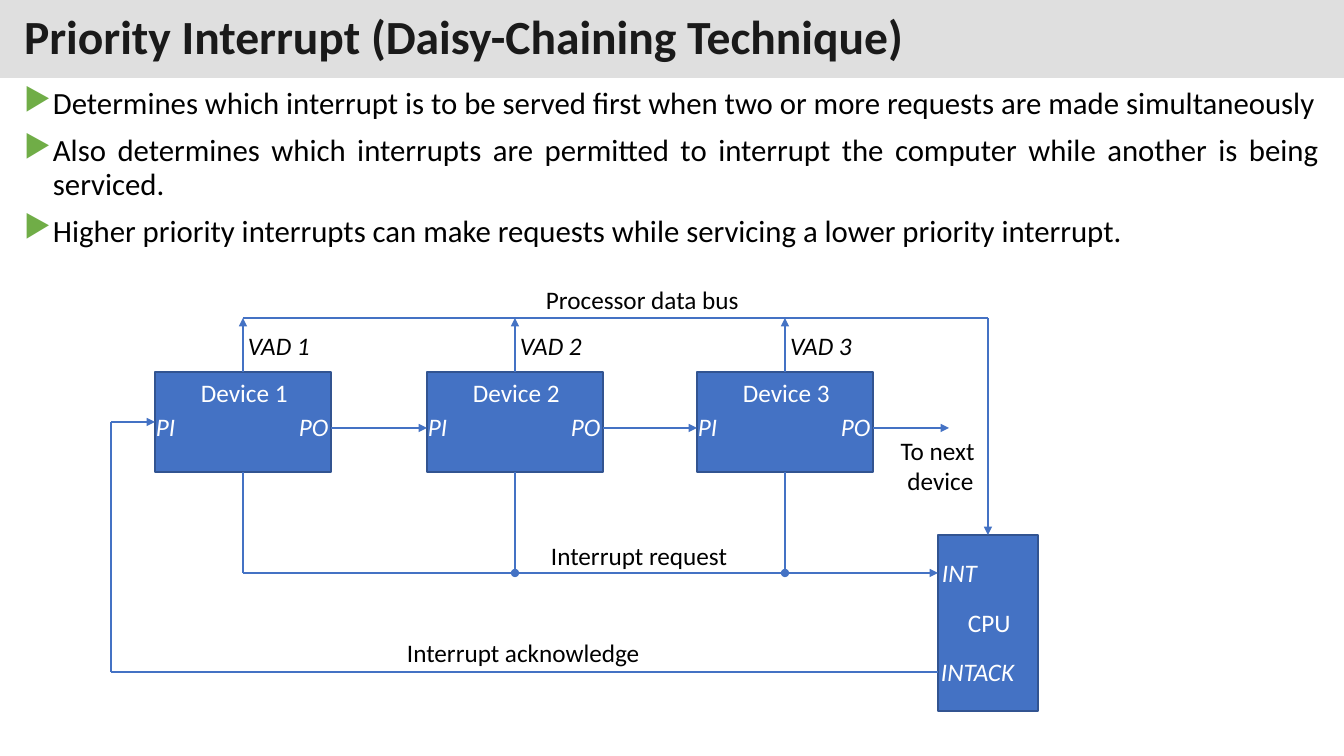
from dataclasses import dataclass

from lxml import etree
from pptx import Presentation
from pptx.dml.color import RGBColor
from pptx.enum.shapes import MSO_CONNECTOR as Connector, MSO_SHAPE as Shape
from pptx.enum.text import MSO_ANCHOR as Anchor, PP_ALIGN as Align
from pptx.oxml.ns import qn
from pptx.util import Pt

# Content
TITLE = "Priority Interrupt (Daisy-Chaining Technique)"
POINTS = [
    "Determines which interrupt is to be served first when two or more requests are made simultaneously",
    "Also determines which interrupts are permitted to interrupt the computer while another is being serviced.",
    "Higher priority interrupts can make requests while servicing a lower priority interrupt.",
]
DEVICES = [  # name, vector label, left edge
    ("Device 1", "VAD 1", 155),
    ("Device 2", "VAD 2", 427),
    ("Device 3", "VAD 3", 697),
]
CPU_LABELS = [  # text, left, top, width, italic
    ("INT", 932, 552, 60, True),
    ("CPU", 958, 602, 65, False),
    ("INTACK", 931, 651, 95, True),
]
LINE_LABELS = [  # text, left, top, width
    ("Processor data bus", 536, 279, 221),
    ("Interrupt request", 541, 535, 201),
    ("Interrupt acknowledge", 397, 632, 267),
]
NEXT_DEVICE = ["To next ", "device"]


@dataclass(frozen=True)
class Theme:
    font: str = "Calibri"
    title_size: int = 34
    body_size: int = 22
    label_size: int = 18
    title_color: str = "1A1A1A"
    dark: str = "000000"
    light: str = "FFFFFF"
    band: str = "C0C0C0"
    block: str = "4472C4"
    border: str = "325491"
    bullet: str = "70AD47"


THEME = Theme()

# Layout in px
SLIDE_WIDTH, SLIDE_HEIGHT = 1344, 756
DEVICE_TOP, DEVICE_WIDTH, DEVICE_HEIGHT = 372, 176, 100
CPU_LEFT, CPU_TOP, CPU_WIDTH, CPU_HEIGHT = 938, 535, 100, 176
BUS_Y, CHAIN_Y, REQUEST_Y, ACKNOWLEDGE_Y = 318, 428, 573, 672
RETURN_X, NEXT_X = 111, 949
LABEL_HEIGHT, BULLET_INDENT = 40, 29
TOP, LEFT, BOTTOM = 0, 1, 2  # connection sites


def px(length):
    return round(length * 914400 / 100.8)


presentation = Presentation()
presentation.slide_width, presentation.slide_height = px(SLIDE_WIDTH), px(SLIDE_HEIGHT)
slide = presentation.slides.add_slide(presentation.slide_layouts[6])
shapes = slide.shapes


def add_bullet(paragraph):
    properties = paragraph._p.get_or_add_pPr()
    properties.set("marL", str(px(BULLET_INDENT)))
    properties.set("indent", str(-px(BULLET_INDENT)))
    color = etree.SubElement(properties, qn("a:buClr"))
    etree.SubElement(color, qn("a:srgbClr"), val=THEME.bullet)
    etree.SubElement(properties, qn("a:buChar"), char="▶")


def write(shape, lines, *, size=THEME.label_size, color=THEME.dark, bold=False,
          italic=False, align=Align.LEFT, anchor=Anchor.TOP, margins=(10, 5, 10, 5),
          line_spacing=None, space_before=0, bullets=False):
    frame = shape.text_frame
    frame.word_wrap = True
    frame.vertical_anchor = anchor
    (frame.margin_left, frame.margin_top,
     frame.margin_right, frame.margin_bottom) = map(px, margins)
    for index, line in enumerate(lines):
        paragraph = frame.add_paragraph() if index else frame.paragraphs[0]
        if bullets:
            add_bullet(paragraph)
        paragraph.alignment = align
        paragraph.space_before = Pt(space_before if index else 0)
        if line_spacing:
            paragraph.line_spacing = line_spacing
        run = paragraph.add_run()
        run.text = line
        font = run.font
        font.name, font.size, font.bold, font.italic = THEME.font, Pt(size), bold, italic
        font.color.rgb = RGBColor.from_string(color)


def add_text(lines, left, top, width, height=LABEL_HEIGHT, **text_format):
    box = shapes.add_textbox(px(left), px(top), px(width), px(height))
    write(box, lines, **text_format)


def add_label(text, left, top, width, **text_format):
    add_text([text], left, top, width, margins=(10, 5, 0, 5), **text_format)


def add_block(left, top, width, height, fill=THEME.block, border=THEME.border):
    block = shapes.add_shape(Shape.RECTANGLE, px(left), px(top), px(width), px(height))
    block.shadow.inherit = False
    block.fill.solid()
    block.fill.fore_color.rgb = RGBColor.from_string(fill)
    if border:
        block.line.color.rgb = RGBColor.from_string(border)
        block.line.width = Pt(1)
    else:
        block.line.fill.background()
    return block


def add_line(start, end, head=None, begin=None, finish=None):
    """Draw a straight line; begin and finish are (shape, site) joins."""
    line = shapes.add_connector(Connector.STRAIGHT, *map(px, start + end))
    line.line.color.rgb = RGBColor.from_string(THEME.block)
    line.line.width = Pt(1.5)
    if head:
        etree.SubElement(line.line._get_or_add_ln(), qn("a:tailEnd"), type=head)
    etree.SubElement(line._element.spPr, qn("a:effectLst"))
    if begin:
        line.begin_connect(*begin)
    if finish:
        line.end_connect(*finish)


# Title band and bullet points
band = add_block(0, 0, SLIDE_WIDTH, 78, fill=THEME.band, border=None)
band_color = band.fill._xPr.find(qn("a:solidFill"))[0]
etree.SubElement(band_color, qn("a:alpha"), val="50000")
write(band, [TITLE], size=THEME.title_size, color=THEME.title_color, bold=True,
      anchor=Anchor.MIDDLE, margins=(24, 12, 24, 12), line_spacing=0.9)
add_text(POINTS, 14, 83, 1315, 175, size=THEME.body_size, align=Align.JUSTIFY,
         line_spacing=0.9, space_before=10, bullets=True)

# Devices with their ports, vector and request lines
device_blocks = []
centers = [left + DEVICE_WIDTH // 2 for _, _, left in DEVICES]
for index, ((name, vector, left), center) in enumerate(zip(DEVICES, centers)):
    device = add_block(left, DEVICE_TOP, DEVICE_WIDTH, DEVICE_HEIGHT)
    device_blocks.append(device)
    add_label(name, left + 36, DEVICE_TOP, 115, color=THEME.light)
    for port, offset, width in (("PI", -9, 40), ("PO", 134, 53)):
        add_label(port, left + offset, DEVICE_TOP + 34, width,
                  color=THEME.light, italic=True)
    add_line((center, DEVICE_TOP), (center, BUS_Y), "triangle", begin=(device, TOP))
    add_label(vector, center - 5, 325, 86, italic=True)
    add_line((center, DEVICE_TOP + DEVICE_HEIGHT), (center, REQUEST_Y),
             "oval" if index else None, begin=(device, BOTTOM))

# Daisy chain from each PO to the next PI
chain_ends = [left for _, _, left in DEVICES[1:]] + [NEXT_X]
for (_, _, left), chain_end in zip(DEVICES, chain_ends):
    add_line((left + DEVICE_WIDTH, CHAIN_Y), (chain_end, CHAIN_Y), "triangle")

# CPU
cpu = add_block(CPU_LEFT, CPU_TOP, CPU_WIDTH, CPU_HEIGHT)
for text, left, top, width, italic in CPU_LABELS:
    add_label(text, left, top, width, color=THEME.light, italic=italic)

# Data bus, interrupt request and interrupt acknowledge
bus_x = CPU_LEFT + CPU_WIDTH // 2
entry_y = DEVICE_TOP + DEVICE_HEIGHT // 2
add_line((bus_x, BUS_Y), (centers[0], BUS_Y))
add_line((bus_x, BUS_Y), (bus_x, CPU_TOP), "triangle", finish=(cpu, TOP))
add_line((centers[0], REQUEST_Y), (CPU_LEFT, REQUEST_Y), "triangle")
add_line((CPU_LEFT, ACKNOWLEDGE_Y), (RETURN_X, ACKNOWLEDGE_Y))
add_line((RETURN_X, entry_y), (RETURN_X, ACKNOWLEDGE_Y))
add_line((RETURN_X, entry_y), (DEVICES[0][2], entry_y), "triangle",
         finish=(device_blocks[0], LEFT))

# Line labels
for text, left, top, width in LINE_LABELS:
    add_label(text, left, top, width)
add_text(NEXT_DEVICE, 889, 430, 103, 71, align=Align.CENTER)

presentation.save("out.pptx")
